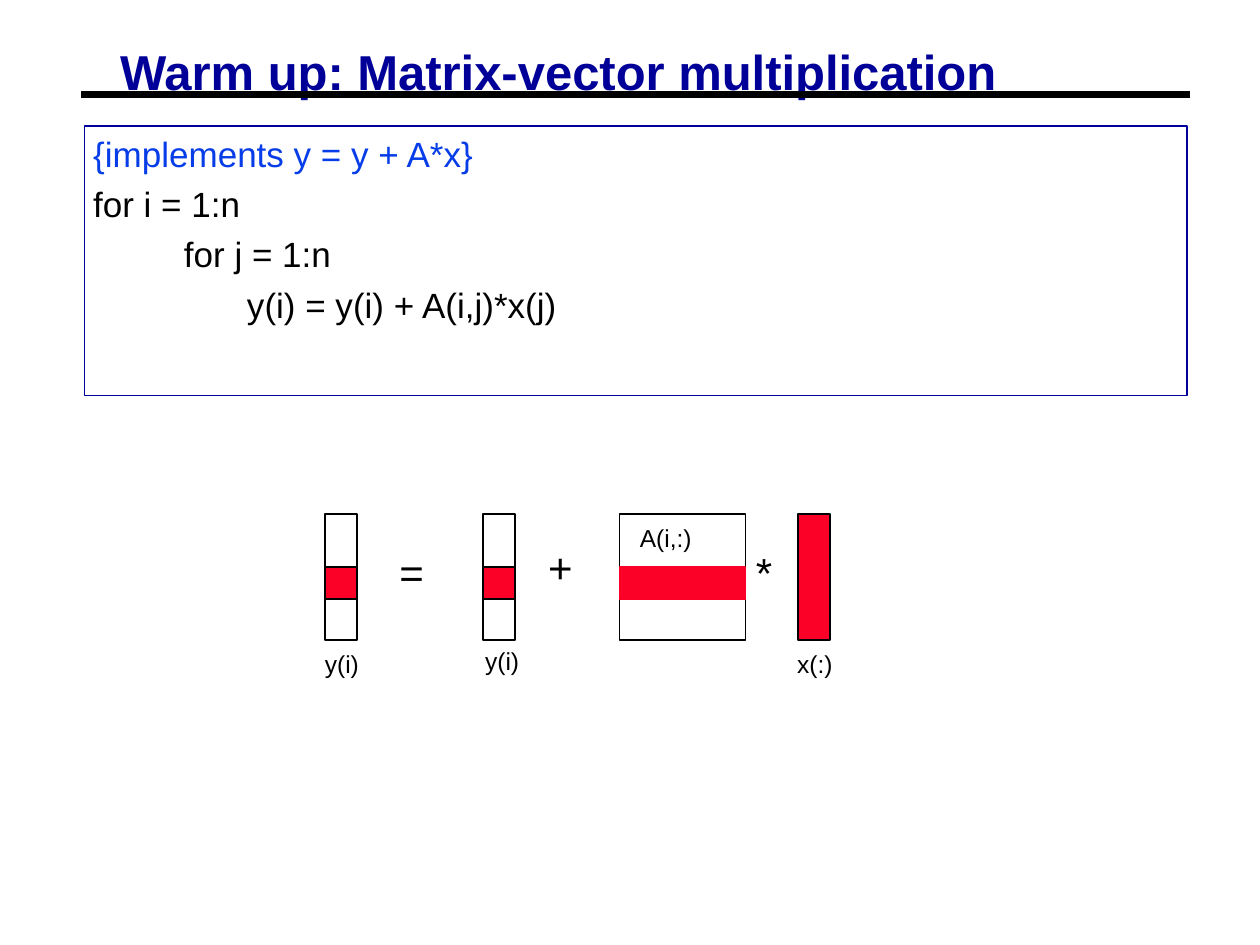
from dataclasses import dataclass
from typing import Optional

from lxml.etree import SubElement
from pptx import Presentation
from pptx.dml.color import RGBColor
from pptx.enum.shapes import MSO_CONNECTOR as Connector, MSO_SHAPE as Shape
from pptx.enum.text import MSO_ANCHOR as Anchor, PP_ALIGN as Align
from pptx.oxml.ns import qn
from pptx.util import Cm, Pt

NAVY, BLUE, BLACK, RED = "000099", "063DE8", "000000", "FC0128"
BAR, SIDE = 0.64, 2.54
MATRIX_TOP, ROW_TOP = 10.37, 11.43
Y_RESULT, Y_START, A_LEFT, X_LEFT = 6.56, 9.74, 12.49, 16.09


@dataclass
class Block:
    left: float
    top: float
    width: float
    height: float
    fill: Optional[str] = None
    line: str = BLACK


@dataclass
class Label:
    text: str
    left: float
    top: float
    width: float
    height: float = 0.86
    size: int = 14


@dataclass
class CodeLine:
    text: str
    color: str = BLACK


BLOCKS = [
    Block(Y_RESULT, MATRIX_TOP, BAR, SIDE),
    Block(Y_START, MATRIX_TOP, BAR, SIDE),
    Block(A_LEFT, MATRIX_TOP, SIDE, SIDE),
    Block(X_LEFT, MATRIX_TOP, BAR, SIDE, RED),
    Block(Y_RESULT, ROW_TOP, BAR, BAR, RED),
    Block(Y_START, ROW_TOP, BAR, BAR, RED),
    Block(A_LEFT, ROW_TOP, SIDE, BAR, RED, RED),
]
LABELS = [
    Label("=", 7.8, 10.9, 0.99, 1.27, 24),
    Label("+", 10.8, 10.8, 0.99, 1.27, 24),
    Label("*", 14.99, 10.9, 0.84, 1.27, 24),
    Label("y(i)", 6.3, 12.95, 1.19),
    Label("y(i)", 9.53, 12.9, 1.19),
    Label("A(i,:)", 12.65, 10.41, 1.55),
    Label("x(:)", 15.82, 12.95, 1.22),
]
CODE = [
    CodeLine("{implements y = y + A*x}", BLUE),
    CodeLine("for i = 1:n"),
    CodeLine("\t\tfor j = 1:n"),
    CodeLine("\t\t\ty(i) = y(i) + A(i,j)*x(j)"),
]


def rgb(color: str) -> RGBColor:
    return RGBColor.from_string(color)


def set_font(paragraph, size: int, color: str, bold: bool = False) -> None:
    font = paragraph.font
    font.name, font.size, font.bold = "Arial", Pt(size), bold
    font.color.rgb = rgb(color)


def set_margins(frame, side: float, top: float, bottom: float) -> None:
    frame.margin_left = frame.margin_right = Cm(side)
    frame.margin_top, frame.margin_bottom = Cm(top), Cm(bottom)


def add_rule(slide) -> None:
    rule = slide.shapes.add_connector(
        Connector.STRAIGHT, Cm(1.7), Cm(1.9), Cm(23.93), Cm(1.9))
    rule.line.color.rgb = rgb(BLACK)
    rule.line.width = Pt(3.75)
    properties = rule._element.spPr
    properties.find(qn("a:ln")).set("cap", "sq")
    SubElement(properties, qn("a:effectLst"))


def set_title(slide, text: str) -> None:
    title = slide.shapes.title
    title.left, title.top = Cm(2.24), Cm(0.86)
    title.width, title.height = Cm(18.08), Cm(1.32)
    frame = title.text_frame
    frame.text = text
    frame.word_wrap = True
    frame.vertical_anchor = Anchor.MIDDLE
    set_margins(frame, 0.18, 0.08, 0.08)
    paragraph = frame.paragraphs[0]
    paragraph.alignment = Align.LEFT
    paragraph.line_spacing = 0.87
    set_font(paragraph, 28, NAVY, bold=True)


def indent_code(paragraph) -> None:
    properties = paragraph._p.get_or_add_pPr()
    properties.set("marL", str(Cm(0.56)))
    properties.set("indent", str(-Cm(0.56)))
    tabs = SubElement(properties, qn("a:tabLst"))
    for stop in range(3):
        SubElement(tabs, qn("a:tab"), pos=str(Cm(stop * 2.54)), algn="l")


def add_code(slide, lines: list[CodeLine]) -> None:
    box = slide.shapes.add_textbox(Cm(1.7), Cm(2.54), Cm(22.23), Cm(5.44))
    box.line.color.rgb = rgb(NAVY)
    box.line.width = Pt(0.75)
    frame = box.text_frame
    frame.word_wrap = True
    set_margins(frame, 0.18, 0.13, 0.08)
    for index, line in enumerate(lines):
        paragraph = frame.add_paragraph() if index else frame.paragraphs[0]
        paragraph.text = line.text
        indent_code(paragraph)
        if index:
            paragraph.space_before = Pt(4.7)
        set_font(paragraph, 20, line.color)


def add_block(slide, block: Block) -> None:
    shape = slide.shapes.add_shape(
        Shape.RECTANGLE, Cm(block.left), Cm(block.top), Cm(block.width), Cm(block.height))
    shape.shadow.inherit = False
    if block.fill:
        shape.fill.solid()
        shape.fill.fore_color.rgb = rgb(block.fill)
    else:
        shape.fill.background()
    shape.line.color.rgb = rgb(block.line)
    shape.line.width = Pt(1)


def add_label(slide, label: Label) -> None:
    box = slide.shapes.add_textbox(
        Cm(label.left), Cm(label.top), Cm(label.width), Cm(label.height))
    frame = box.text_frame
    frame.word_wrap = False
    frame.text = label.text
    set_font(frame.paragraphs[0], label.size, BLACK)


def main() -> None:
    presentation = Presentation()
    presentation.slide_width, presentation.slide_height = Cm(25.4), Cm(19.05)
    slide = presentation.slides.add_slide(presentation.slide_layouts[5])
    add_rule(slide)
    set_title(slide, "Warm up: Matrix-vector multiplication")
    add_code(slide, CODE)
    for block in BLOCKS:
        add_block(slide, block)
    for label in LABELS:
        add_label(slide, label)
    presentation.save("out.pptx")


if __name__ == "__main__":
    main()
